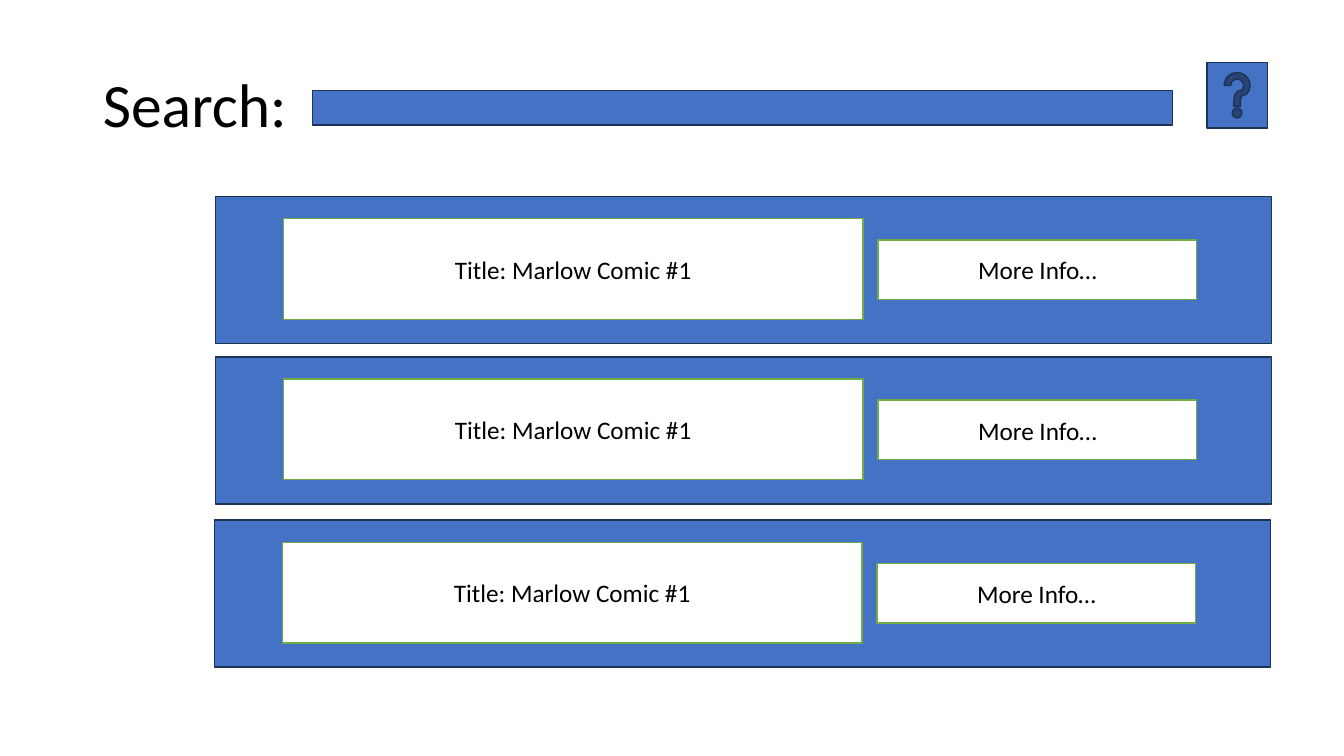
from pptx import Presentation
from pptx.dml.color import RGBColor
from pptx.enum.shapes import MSO_SHAPE
from pptx.enum.text import MSO_ANCHOR, PP_ALIGN
from pptx.util import Inches, Pt

FONT = "Calibri"
BLUE, NAVY = "4472C4", "1E3256"
WHITE, GREEN, BLACK = "FFFFFF", "70AD47", "000000"
RESULT_POSITIONS = [(2.14, 1.95), (2.14, 3.54), (2.13, 5.16)]


def color(value):
    return RGBColor.from_string(value)


def format_font(paragraph, size):
    paragraph.font.name = FONT
    paragraph.font.size = Pt(size)
    paragraph.font.color.rgb = color(BLACK)


def add_box(slide, left, top, width, height, fill=BLUE, line=NAVY, kind=MSO_SHAPE.RECTANGLE):
    shape = slide.shapes.add_shape(kind, Inches(left), Inches(top), Inches(width), Inches(height))
    shape.shadow.inherit = False
    shape.fill.solid()
    shape.fill.fore_color.rgb = color(fill)
    shape.line.color.rgb = color(line)
    shape.line.width = Pt(1)
    return shape


def add_label(slide, text, left, top, width, height):
    shape = add_box(slide, left, top, width, height, WHITE, GREEN)
    shape.text_frame.vertical_anchor = MSO_ANCHOR.MIDDLE
    paragraph = shape.text_frame.paragraphs[0]
    paragraph.text = text
    paragraph.alignment = PP_ALIGN.CENTER
    format_font(paragraph, 18)


def add_search_header(slide, left, top, width, height):
    title = slide.shapes.title
    title.left, title.top = Inches(left), Inches(top)
    title.width, title.height = Inches(width), Inches(height)
    title.text_frame.vertical_anchor = MSO_ANCHOR.MIDDLE
    paragraph = title.text_frame.paragraphs[0]
    paragraph.text = "Search:"
    paragraph.alignment = PP_ALIGN.LEFT
    paragraph.line_spacing = 0.9
    format_font(paragraph, 44)
    add_box(slide, left + 2.18, top + 0.23, 8.53, 0.34)
    add_box(slide, left + 11.05, top - 0.05, 0.6, 0.65, kind=MSO_SHAPE.ACTION_BUTTON_HELP)


def add_result(slide, left, top, width, height):
    add_box(slide, left, top, width, height)
    add_label(slide, "Title: Marlow Comic #1", left + 0.67, top + 0.22, 5.75, 1)
    add_label(slide, "More Info…", left + 6.57, top + 0.43, 3.16, 0.59)


def main():
    presentation = Presentation()
    presentation.slide_width = Inches(13.33)
    presentation.slide_height = Inches(7.5)
    slide = presentation.slides.add_slide(presentation.slide_layouts[5])
    add_search_header(slide, 0.92, 0.67, 11.5, 0.79)
    for left, top in RESULT_POSITIONS:
        add_result(slide, left, top, 10.47, 1.46)
    presentation.save("out.pptx")


if __name__ == "__main__":
    main()
